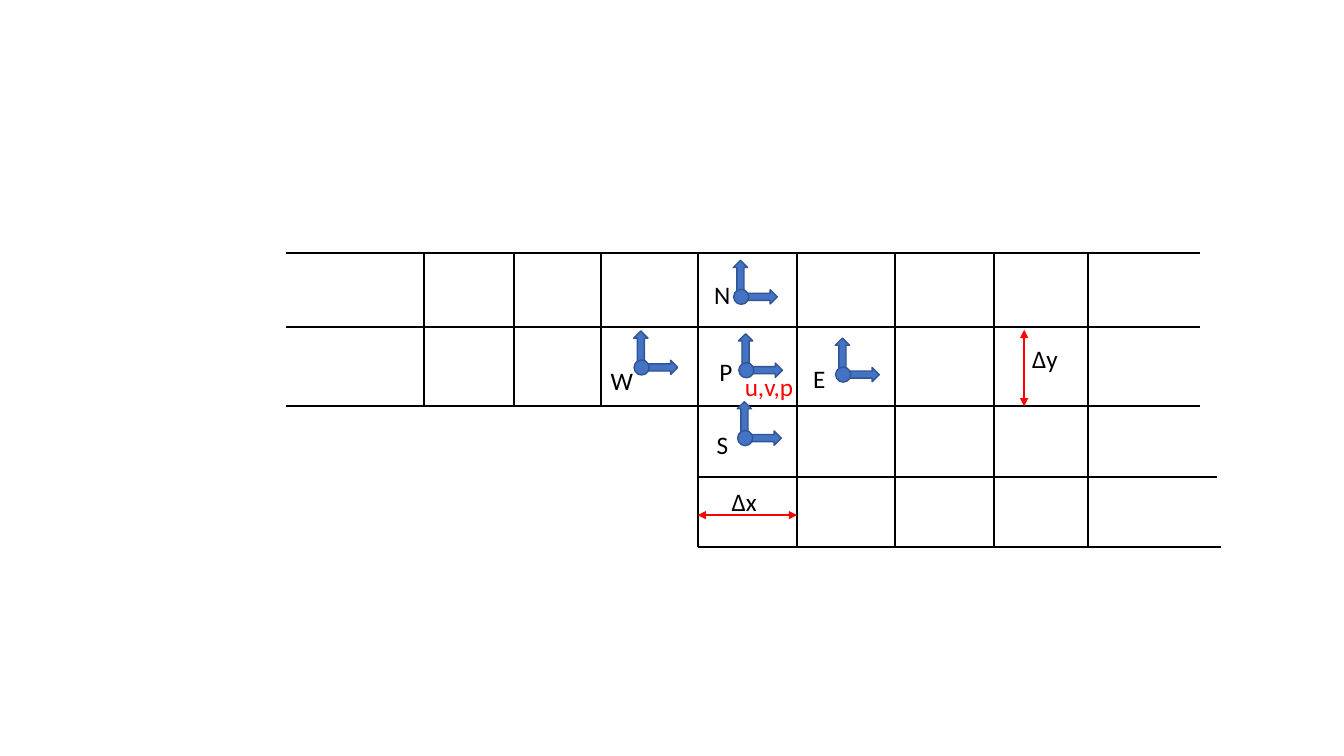
from lxml.etree import SubElement
from pptx import Presentation
from pptx.dml.color import RGBColor
from pptx.enum.shapes import MSO_CONNECTOR as CONN, MSO_SHAPE as SHAPE
from pptx.oxml.ns import qn
from pptx.util import Cm, Pt

BLACK = RGBColor(0x00, 0x00, 0x00)
RED = RGBColor(0xFF, 0x00, 0x00)
BLUE = RGBColor(0x44, 0x72, 0xC4)
DARK_BLUE = RGBColor(0x32, 0x54, 0x91)

TOP, MIDDLE, STEP, LOWER, BOTTOM = 6.38, 8.23, 10.24, 12.01, 13.79
LEFT, STEP_X, RIGHT = 7.21, 17.58, 30.23
ROWS = [(TOP, LEFT, RIGHT), (MIDDLE, LEFT, RIGHT), (STEP, LEFT, RIGHT),
        (LOWER, STEP_X, 30.68), (BOTTOM, STEP_X, 30.78)]
INLET_COLUMNS = [10.69, 12.95, 15.14]
OUTLET_COLUMNS = [STEP_X, 20.09, 22.56, 25.04, 27.41]

NODES = [("P", 18.81, 9.33, 17.88, 8.86),
         ("W", 16.17, 9.26, 15.14, 9.09),
         ("S", 18.78, 11.04, 17.81, 10.69),
         ("E", 21.25, 9.44, 20.24, 9.02),
         ("N", 18.68, 7.48, 17.88 - 0.13, 6.91)]
ARROW_W, ARROW_H, DOT = 1.02, 0.36, 0.38


def add_line(slide, x1, y1, x2, y2, color=BLACK, width=1.5):
    c = slide.shapes.add_connector(CONN.STRAIGHT, Cm(x1), Cm(y1), Cm(x2), Cm(y2))
    c.line.color.rgb = color
    c.line.width = Pt(width)
    SubElement(c._element.spPr, qn("a:effectLst"))
    return c


def add_dimension(slide, x1, y1, x2, y2):
    ln = add_line(slide, x1, y1, x2, y2, RED, 1).line._get_or_add_ln()
    for end in ("a:headEnd", "a:tailEnd"):
        SubElement(ln, qn(end), type="triangle")


def add_marker(slide, kind, cx, cy, width, height, rotation=0):
    sp = slide.shapes.add_shape(kind, Cm(cx - width / 2), Cm(cy - height / 2),
                                Cm(width), Cm(height))
    sp.rotation = rotation
    sp.shadow.inherit = False
    sp.fill.solid()
    sp.fill.fore_color.rgb = BLUE
    sp.line.color.rgb = DARK_BLUE
    sp.line.width = Pt(1)


def add_node(slide, cx, cy):
    add_marker(slide, SHAPE.RIGHT_ARROW, cx + 0.4, cy, ARROW_W, ARROW_H)
    add_marker(slide, SHAPE.RIGHT_ARROW, cx - 0.02, cy - 0.41, ARROW_W, ARROW_H, 270)
    add_marker(slide, SHAPE.OVAL, cx, cy, DOT, DOT)


def add_label(slide, text, x, y, width=0.66, color=BLACK):
    tf = slide.shapes.add_textbox(Cm(x), Cm(y), Cm(width), Cm(1.02)).text_frame
    tf.word_wrap = True
    tf.text = text
    font = tf.paragraphs[0].runs[0].font
    font.name = "Calibri"
    font.size = Pt(18)
    font.color.rgb = color


def add_mesh(slide):
    for y, x1, x2 in ROWS:
        add_line(slide, x1, y, x2, y)
    for x in INLET_COLUMNS:
        add_line(slide, x, TOP, x, STEP)
    for x in OUTLET_COLUMNS:
        add_line(slide, x, TOP, x, BOTTOM)


def main():
    prs = Presentation()
    prs.slide_width, prs.slide_height = Cm(33.87), Cm(19.05)
    slide = prs.slides.add_slide(prs.slide_layouts[6])
    add_mesh(slide)
    for name, cx, cy, label_x, label_y in NODES:
        add_node(slide, cx, cy)
        add_label(slide, name, label_x, label_y)
    add_dimension(slide, 25.81, 8.31, 25.81, STEP)
    add_dimension(slide, STEP_X, 12.98, OUTLET_COLUMNS[1], 12.98)
    add_label(slide, "Δx", 18.19, 12.12, 3.1)
    add_label(slide, "Δy", 25.76, 8.53, 3.1)
    add_label(slide, "u,v,p", 18.52, 9.22, 3.71, RED)
    prs.save("out.pptx")


main()
